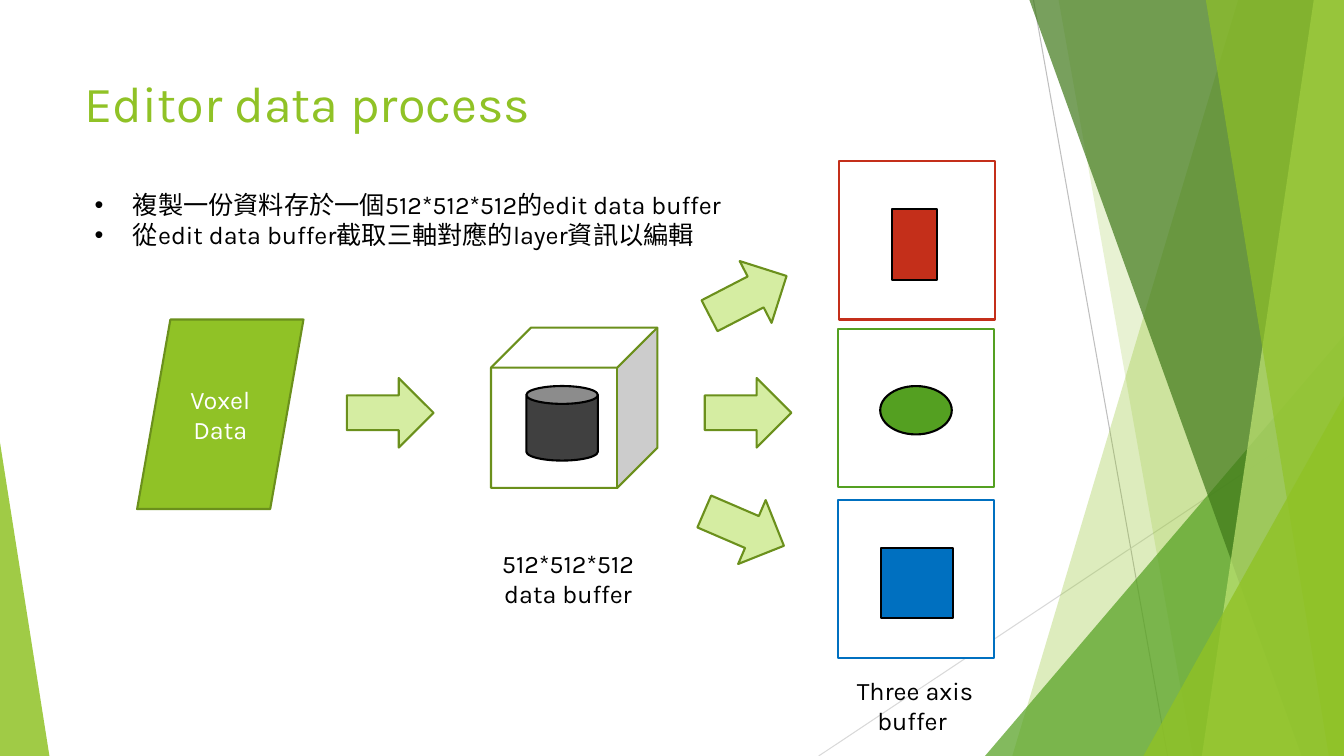
from lxml.etree import SubElement
from pptx import Presentation
from pptx.dml.color import RGBColor
from pptx.enum.shapes import MSO_CONNECTOR as Connector, MSO_SHAPE as Shape
from pptx.enum.text import MSO_ANCHOR as Anchor, MSO_AUTO_SIZE as AutoSize, PP_ALIGN as Align
from pptx.oxml.ns import qn
from pptx.util import Inches, Pt

WIDTH, HEIGHT = 13.33, 7.5
BLACK = RGBColor(0x00, 0x00, 0x00)
WHITE = RGBColor(0xFF, 0xFF, 0xFF)
LIME = RGBColor(0x90, 0xC2, 0x26)
LIME_LINE = RGBColor(0x6B, 0x90, 0x1C)
PALE_LIME = RGBColor(0xD5, 0xED, 0xA2)
LIGHT_LIME = RGBColor(0xC0, 0xE4, 0x74)
GREEN = RGBColor(0x54, 0xA0, 0x21)
DARK_GREEN = RGBColor(0x3F, 0x78, 0x19)
RED = RGBColor(0xC4, 0x2F, 0x1A)
BLUE = RGBColor(0x00, 0x70, 0xC0)
CHARCOAL = RGBColor(0x40, 0x40, 0x40)
GRAY = RGBColor(0xBF, 0xBF, 0xBF)
LIGHT_GRAY = RGBColor(0xD9, 0xD9, 0xD9)


def style_shape(shape, fill, line=None, opacity=100):
    """Give a shape its fill, outline and opacity, without a shadow."""
    shape.shadow.inherit = False
    shape.fill.solid()
    shape.fill.fore_color.rgb = fill
    if opacity < 100:
        color = shape._element.spPr.find(qn("a:solidFill"))[0]
        SubElement(color, qn("a:alpha"), val=str(opacity * 1000))
    if line is None:
        shape.line.fill.background()
    else:
        shape.line.color.rgb = line
        shape.line.width = Pt(1.5)


def add_block(slide, kind, box, fill, line=None, rotation=0, opacity=100):
    """Add a preset shape in a box and return it."""
    shape = slide.shapes.add_shape(kind, *map(Inches, box))
    style_shape(shape, fill, line, opacity)
    shape.rotation = rotation
    return shape


def write_lines(frame, lines, color=BLACK, size=18, bullet=False):
    """Write one paragraph per (text, alignment) pair."""
    font_format = {"name": "Karla", "size": Pt(size)}
    for index, (text, alignment) in enumerate(lines):
        paragraph = frame.add_paragraph() if index else frame.paragraphs[0]
        paragraph.alignment = alignment
        run = paragraph.add_run()
        run.text = text
        for name, value in font_format.items():
            setattr(run.font, name, value)
        run.font.color.rgb = color
        if bullet:
            properties = paragraph._p.get_or_add_pPr()
            properties.set("marL", str(Inches(0.38)))
            properties.set("indent", str(Inches(-0.38)))
            SubElement(properties, qn("a:buFont"), typeface="Arial")
            SubElement(properties, qn("a:buChar"), char="•")


def add_label(slide, box, lines, **text_format):
    """Add an unwrapped text box that grows with its lines."""
    frame = slide.shapes.add_textbox(*map(Inches, box)).text_frame
    frame.word_wrap = False
    frame.auto_size = AutoSize.SHAPE_TO_FIT_TEXT
    write_lines(frame, lines, **text_format)


def add_title(slide, box):
    """Add the slide title."""
    frame = slide.shapes.add_textbox(*map(Inches, box)).text_frame
    frame.word_wrap = True
    write_lines(frame, [("Editor data process", Align.LEFT)], LIME, 36)


def add_facet(slide, top_left, bottom_left, color, opacity):
    """Add a full-height facet that reaches the right edge."""
    builder = slide.shapes.build_freeform(Inches(top_left), 0)
    corners = [(WIDTH, 0), (WIDTH, HEIGHT), (bottom_left, HEIGHT)]
    builder.add_line_segments([(Inches(x), Inches(y)) for x, y in corners])
    style_shape(builder.convert_to_shape(), color, opacity=opacity)


def add_corner(slide, left, top, width, apex, color, opacity):
    """Add a right triangle that stands on the bottom edge."""
    box = (left, top, width, HEIGHT - top)
    shape = add_block(slide, Shape.ISOSCELES_TRIANGLE, box, color, opacity=opacity)
    shape.adjustments[0] = apex


def add_backdrop(slide):
    """Draw the thin lines and translucent green facets."""
    for start, end, color in [
        ((10.25, 0), (11.58, HEIGHT), GRAY),
        ((WIDTH, 4.03), (8.12, HEIGHT), LIGHT_GRAY),
    ]:
        connector = slide.shapes.add_connector(Connector.STRAIGHT, *map(Inches, start + end))
        connector.line.color.rgb = color
        connector.line.width = Pt(0.75)
        SubElement(connector._element.spPr, qn("a:effectLst"))
    add_facet(slide, 12.28, 10.04, LIME, 30)
    add_facet(slide, 10.5, 11.83, LIME, 20)
    add_corner(slide, 9.77, 3.33, 3.56, 1, GREEN, 72)
    add_facet(slide, 10.21, 12.91, DARK_GREEN, 70)
    add_facet(slide, 13.03, 11.92, LIGHT_LIME, 70)
    add_facet(slide, 11.96, 13.18, LIME, 65)
    add_corner(slide, 11.34, 3.93, 1.99, 1, LIME, 80)
    add_corner(slide, 0, 4.39, 0.49, 0, LIME, 85)


def add_voxel_data(slide, box):
    """Draw the source data block."""
    frame = add_block(slide, Shape.FLOWCHART_DATA, box, LIME, LIME_LINE).text_frame
    frame.word_wrap = True
    frame.vertical_anchor = Anchor.MIDDLE
    write_lines(frame, [("Voxel Data", Align.CENTER)], WHITE)


def add_data_buffer(slide, box):
    """Draw the cube with its cylinder and caption."""
    left, top, width, height = box
    add_block(slide, Shape.CUBE, box, WHITE, LIME_LINE)
    add_block(slide, Shape.CAN, (left + 0.35, top + 0.58, 0.71, 0.74), CHARCOAL, BLACK)
    add_label(slide, (left + 0.01, top + height + 0.55, 1.66, 0.71),
              [("512*512*512", Align.LEFT), ("data buffer", Align.CENTER)])


def add_arrows(slide):
    """Draw the arrows between the stages."""
    for left, top, rotation in [
        (3.44, 3.75, 0), (6.99, 2.59, 332.7), (6.99, 3.75, 0), (6.95, 4.9, 23.3),
    ]:
        add_block(slide, Shape.RIGHT_ARROW, (left, top, 0.86, 0.69), PALE_LIME, LIME_LINE, rotation)


def add_axis_panel(slide, box, color, kind, inner):
    """Draw one axis panel with the slice placed inside it."""
    left, top = box[:2]
    inset_x, inset_y, width, height = inner
    add_block(slide, Shape.RECTANGLE, box, WHITE, color)
    add_block(slide, kind, (left + inset_x, top + inset_y, width, height), color, BLACK)


def add_axis_buffers(slide):
    """Draw the three axis panels and their caption."""
    for left, top, color, kind, inner in [
        (8.32, 1.6, RED, Shape.RECTANGLE, (0.53, 0.47, 0.44, 0.71)),
        (8.31, 3.26, GREEN, Shape.OVAL, (0.42, 0.57, 0.71, 0.48)),
        (8.31, 4.96, BLUE, Shape.RECTANGLE, (0.43, 0.48, 0.71, 0.69)),
    ]:
        add_axis_panel(slide, (left, top, 1.55, 1.57), color, kind, inner)
    add_label(slide, (8.4, 6.65, 1.37, 0.71),
              [("Three axis", Align.LEFT), ("buffer ", Align.CENTER)])


def main():
    """Build the slide and save it."""
    presentation = Presentation()
    presentation.slide_width = Inches(WIDTH)
    presentation.slide_height = Inches(HEIGHT)
    slide = presentation.slides.add_slide(presentation.slide_layouts[6])
    add_backdrop(slide)
    add_title(slide, (0.74, 0.67, 9.4, 1.44))
    add_voxel_data(slide, (1.36, 3.17, 1.65, 1.88))
    add_data_buffer(slide, (4.87, 3.25, 1.65, 1.59))
    add_arrows(slide)
    add_axis_buffers(slide)
    add_label(slide, (0.84, 1.83, 6.74, 0.71), [
        ("複製一份資料存於一個512*512*512的edit data buffer", Align.LEFT),
        ("從edit data buffer截取三軸對應的layer資訊以編輯", Align.LEFT),
    ], bullet=True)
    presentation.save("out.pptx")


if __name__ == "__main__":
    main()
